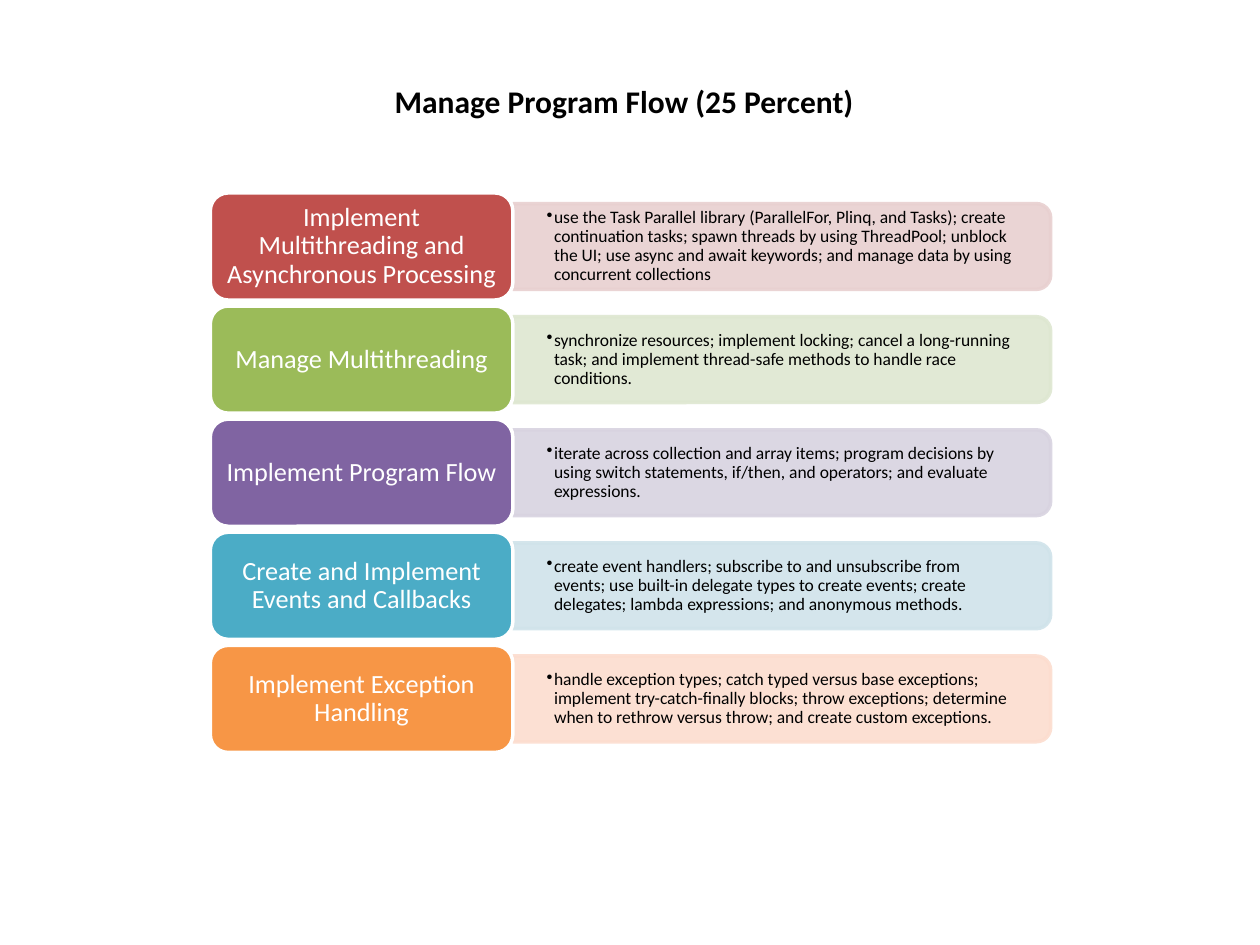
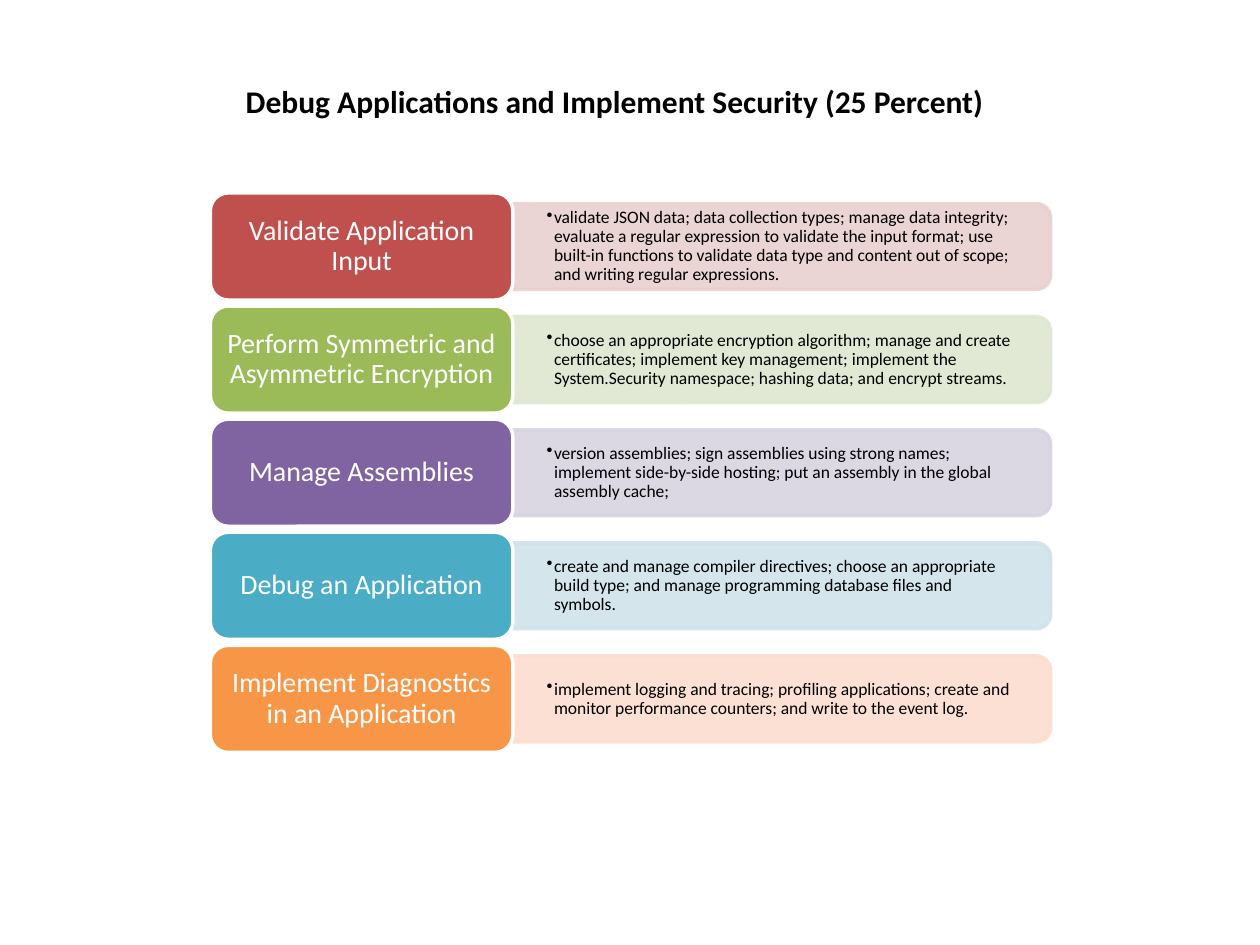
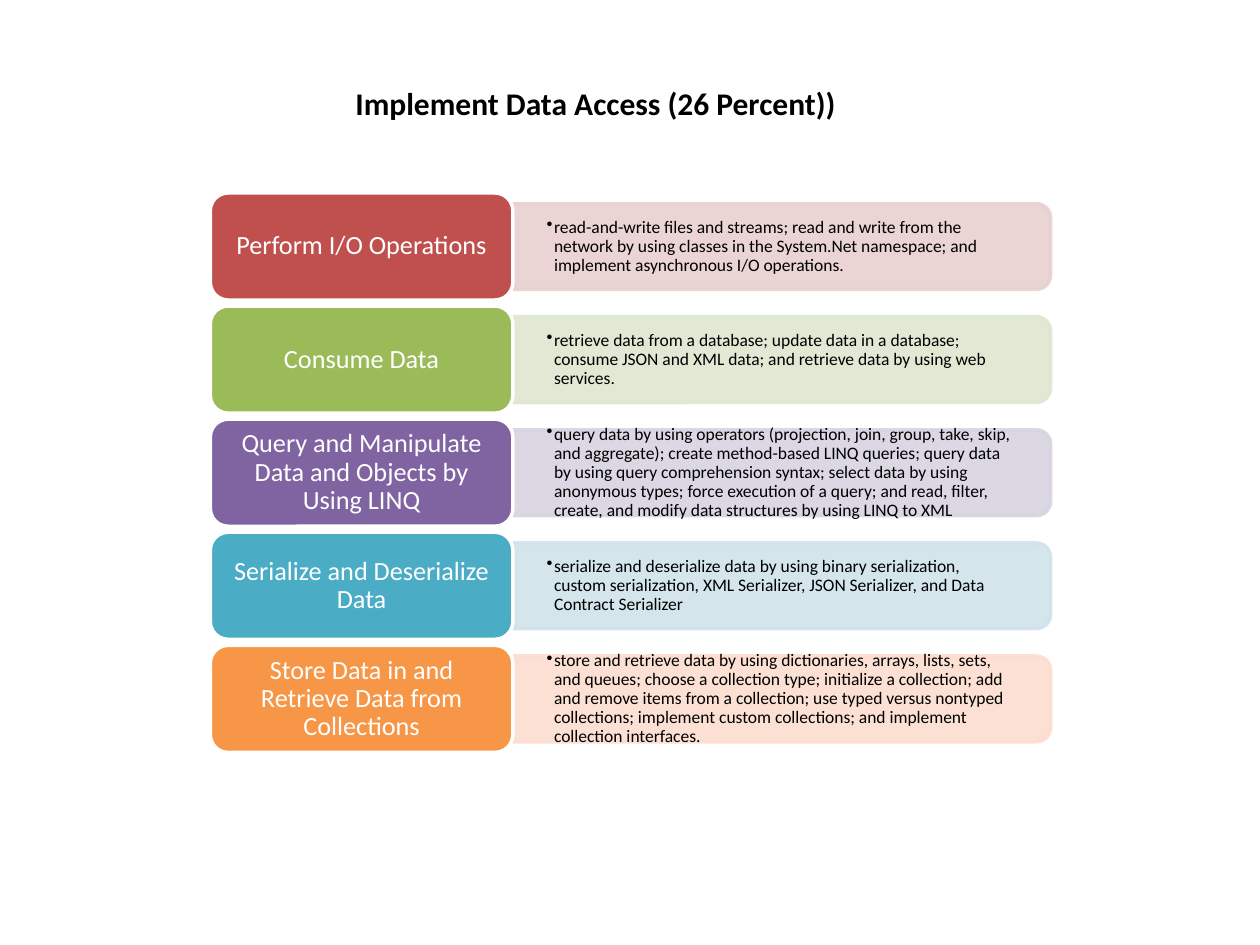
"""Build three slides of exam topics, each with five colour-coded rows."""
from pptx import Presentation
from pptx.dml.color import RGBColor
from pptx.enum.shapes import MSO_SHAPE
from pptx.enum.text import MSO_ANCHOR, MSO_AUTO_SIZE, PP_ALIGN
from pptx.oxml.ns import qn
from pptx.oxml.xmlchemy import OxmlElement
from pptx.util import Cm, Pt

FONT = "Calibri"
COLOURS = {
    "text": "000000", "white": "FFFFFF",
    "red": "C0504D", "red_tint": "E8D0D0",
    "green": "9BBB59", "green_tint": "DEE7D1",
    "purple": "8064A2", "purple_tint": "D8D3E0",
    "blue": "4BACC6", "blue_tint": "D0E3EA",
    "orange": "F79646", "orange_tint": "FCDDCF",
}
ROW_COLOURS = ["red", "green", "purple", "blue", "orange"]

TILE_LEFT, TILE_TOP, TILE_WIDTH, TILE_HEIGHT = 4.24, 3.89, 6.1, 2.16
ROW_STEP = 2.28
BAND_LEFT = TILE_LEFT + TILE_WIDTH
BAND_WIDTH, BAND_HEIGHT = 10.84, 1.73
DETAIL_WIDTH, DETAIL_HEIGHT = 10.74, 1.57

SLIDES = [
    {
        "title": "Manage Program Flow (25 Percent)",
        "title_at": (7.7, 1.52, 9.86),
        "topic_size": 15,
        "rows": [
            ("Implement Multithreading and Asynchronous Processing",
             "use the Task Parallel library (ParallelFor, Plinq, and Tasks); create "
             "continuation tasks; spawn threads by using ThreadPool; unblock the UI; "
             "use async and await keywords; and manage data by using concurrent collections"),
            ("Manage Multithreading",
             "synchronize resources; implement locking; cancel a long-running task; "
             "and implement thread-safe methods to handle race conditions."),
            ("Implement Program Flow",
             "iterate across collection and array items; program decisions by using "
             "switch statements, if/then, and operators; and evaluate expressions."),
            ("Create and Implement Events and Callbacks",
             "create event handlers; subscribe to and unsubscribe from events; use "
             "built-in delegate types to create events; create delegates; lambda "
             "expressions; and anonymous methods."),
            ("Implement Exception Handling",
             "handle exception types; catch typed versus base exceptions; implement "
             "try-catch-finally blocks; throw exceptions; determine when to rethrow "
             "versus throw; and create custom exceptions."),
        ],
    },
    {
        "title": "Debug Applications and Implement Security (25 Percent)",
        "title_at": (4.7, 1.52, 15.52),
        "topic_size": 16,
        "rows": [
            ("Validate Application Input",
             "validate JSON data; data collection types; manage data integrity; "
             "evaluate a regular expression to validate the input format; use built-in "
             "functions to validate data type and content out of scope; and writing "
             "regular expressions."),
            ("Perform Symmetric and Asymmetric Encryption",
             "choose an appropriate encryption algorithm; manage and create "
             "certificates; implement key management; implement the System.Security "
             "namespace; hashing data; and encrypt streams."),
            ("Manage Assemblies",
             "version assemblies; sign assemblies using strong names; implement "
             "side-by-side hosting; put an assembly in the global assembly cache;"),
            ("Debug an Application",
             "create and manage compiler directives; choose an appropriate build type; "
             "and manage programming database files and symbols."),
            ("Implement Diagnostics in an Application",
             "implement logging and tracing; profiling applications; create and monitor "
             "performance counters; and write to the event log."),
        ],
    },
    {
        "title": "Implement Data Access (26 Percent))",
        "title_at": (6.91, 1.57, 10.29),
        "topic_size": 15,
        "rows": [
            ("Perform I/O Operations",
             "read-and-write files and streams; read and write from the network by "
             "using classes in the System.Net namespace; and implement asynchronous "
             "I/O operations."),
            ("Consume Data",
             "retrieve data from a database; update data in a database; consume JSON "
             "and XML data; and retrieve data by using web services."),
            ("Query and Manipulate Data and Objects by Using LINQ",
             "query data by using operators (projection, join, group, take, skip, and "
             "aggregate); create method-based LINQ queries; query data by using query "
             "comprehension syntax; select data by using anonymous types; force "
             "execution of a query; and read, filter, create, and modify data "
             "structures by using LINQ to XML"),
            ("Serialize and Deserialize Data",
             "serialize and deserialize data by using binary serialization, custom "
             "serialization, XML Serializer, JSON Serializer, and Data Contract Serializer"),
            ("Store Data in and Retrieve Data from Collections",
             "store and retrieve data by using dictionaries, arrays, lists, sets, and "
             "queues; choose a collection type; initialize a collection; add and remove "
             "items from a collection; use typed versus nontyped collections; implement "
             "custom collections; and implement collection interfaces."),
        ],
    },
]


def colour(name):
    return RGBColor.from_string(COLOURS[name])


def add_span(para, text, size, colour_name, bold=False):
    span = para.add_run()
    span.text = text
    span.font.name = FONT
    span.font.size = Pt(size)
    span.font.bold = bold
    span.font.color.rgb = colour(colour_name)


def set_frame(frame, side, edge):
    frame.word_wrap = True
    frame.vertical_anchor = MSO_ANCHOR.MIDDLE
    frame.margin_left = frame.margin_right = Cm(side)
    frame.margin_top = frame.margin_bottom = Cm(edge)


def add_bullet(para):
    properties = para._p.get_or_add_pPr()
    properties.set("marL", str(Cm(0.15)))
    properties.set("indent", str(Cm(-0.15)))
    bullet = OxmlElement("a:buChar")
    bullet.set("char", "•")
    properties.append(bullet)


def add_block(page, kind, left, top, width, height, fill, line):
    block = page.shapes.add_shape(kind, Cm(left), Cm(top), Cm(width), Cm(height))
    block.shadow.inherit = False
    block.fill.solid()
    block.fill.fore_color.rgb = colour(fill)
    block.line.color.rgb = colour(line)
    block.line.width = Pt(2)
    return block


def add_band(page, middle, tint):
    left = BAND_LEFT + (BAND_WIDTH - BAND_HEIGHT) / 2
    band = add_block(page, MSO_SHAPE.ROUND_2_SAME_RECTANGLE, left,
                     middle - BAND_WIDTH / 2, BAND_HEIGHT, BAND_WIDTH, tint, tint)
    band.rotation = 90
    for paint in band._element.spPr.iter(qn("a:srgbClr")):
        alpha = OxmlElement("a:alpha")
        alpha.set("val", "90000")
        paint.append(alpha)


def add_detail(page, middle, text):
    box = page.shapes.add_textbox(Cm(BAND_LEFT), Cm(middle - DETAIL_HEIGHT / 2),
                                  Cm(DETAIL_WIDTH), Cm(DETAIL_HEIGHT))
    set_frame(box.text_frame, 0.68, 0.35)
    para = box.text_frame.paragraphs[0]
    para.level = 1
    para.line_spacing = 0.9
    add_bullet(para)
    add_span(para, text, 10, "text")


def add_topic(page, top, text, size, fill):
    tile = add_block(page, MSO_SHAPE.ROUNDED_RECTANGLE, TILE_LEFT, top,
                     TILE_WIDTH, TILE_HEIGHT, fill, "white")
    set_frame(tile.text_frame, 0.16, 0.08)
    para = tile.text_frame.paragraphs[0]
    para.alignment = PP_ALIGN.CENTER
    para.line_spacing = 0.9
    add_span(para, text, size, "white")


def set_title(page, text, left, top, width):
    title = page.shapes.title
    title.left, title.top = Cm(left), Cm(top)
    title.width, title.height = Cm(width), Cm(1.02)
    frame = title.text_frame
    frame.word_wrap = False
    frame.auto_size = MSO_AUTO_SIZE.SHAPE_TO_FIT_TEXT
    frame.vertical_anchor = MSO_ANCHOR.TOP
    para = frame.paragraphs[0]
    para.alignment = PP_ALIGN.LEFT
    add_span(para, text, 18, "text", bold=True)


def add_topic_page(deck, content):
    page = deck.slides.add_slide(deck.slide_layouts[5])
    set_title(page, content["title"], *content["title_at"])
    for index, (topic, detail) in enumerate(content["rows"]):
        name = ROW_COLOURS[index]
        top = TILE_TOP + index * ROW_STEP
        middle = top + TILE_HEIGHT / 2
        add_band(page, middle, f"{name}_tint")
        add_detail(page, middle, detail)
        add_topic(page, top, topic, content["topic_size"], name)


def main():
    deck = Presentation()
    deck.slide_width, deck.slide_height = Cm(25.4), Cm(19.05)
    for content in SLIDES:
        add_topic_page(deck, content)
    deck.save("out.pptx")


if __name__ == "__main__":
    main()
